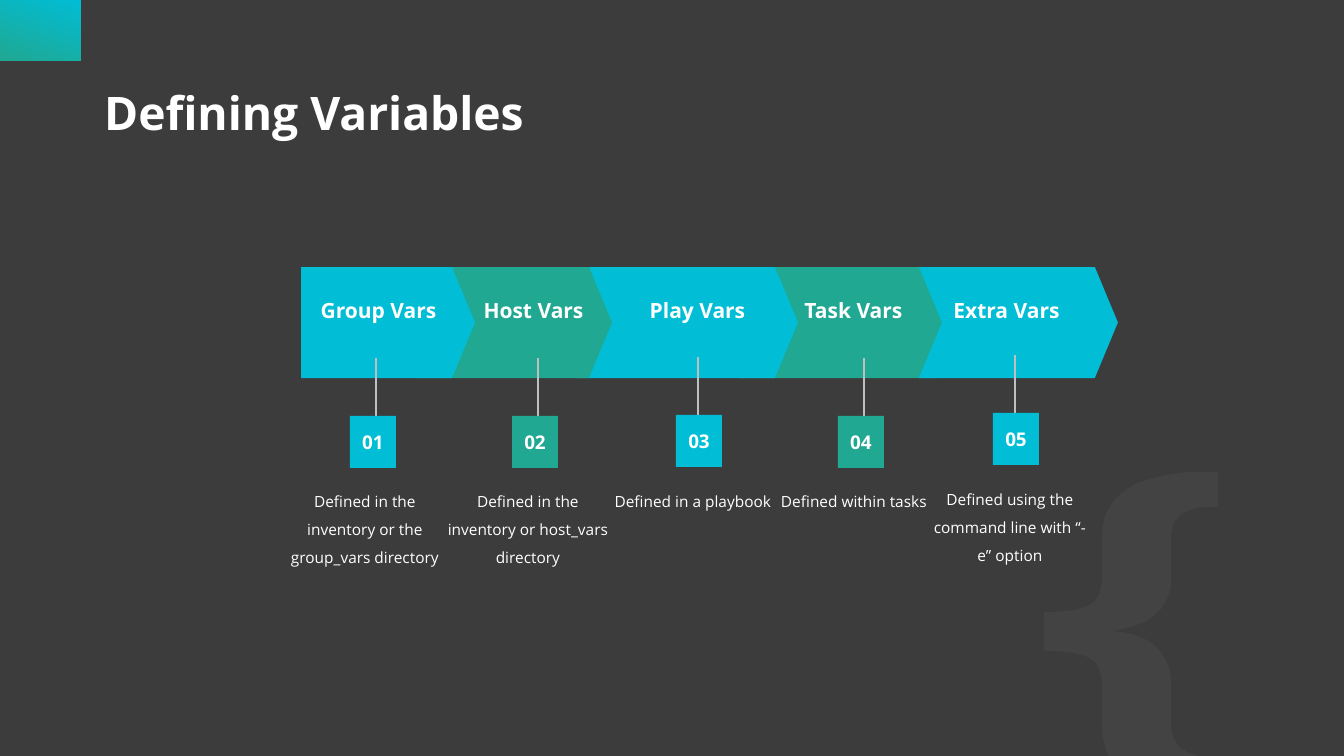
from lxml.etree import SubElement
from pptx import Presentation
from pptx.dml.color import RGBColor
from pptx.enum.shapes import MSO_CONNECTOR, MSO_SHAPE
from pptx.enum.text import MSO_ANCHOR, MSO_AUTO_SIZE, PP_ALIGN
from pptx.oxml.ns import qn
from pptx.util import Emu, Pt

SCALE = 914400 / 100.8  # EMU in one px
BLUE, GREEN, WHITE = "01BDD5", "20A892", "FFFFFF"


def px(*lengths):
    return [Emu(round(length * SCALE)) for length in lengths]


def write(shape, text, size, bold=False, align=PP_ALIGN.CENTER,
          anchor=MSO_ANCHOR.MIDDLE, spacing=None):
    frame = shape.text_frame
    frame.word_wrap = True
    frame.auto_size = MSO_AUTO_SIZE.NONE
    frame.vertical_anchor = anchor
    paragraph = frame.paragraphs[0]
    paragraph.alignment = align
    paragraph.line_spacing = spacing
    run = paragraph.add_run()
    run.text = text
    run.font.name = "Open Sans"
    run.font.size = Pt(size)
    run.font.bold = bold
    run.font.color.rgb = RGBColor.from_string(WHITE)


presentation = Presentation()
presentation.slide_width, presentation.slide_height = px(1344, 756)
slide = presentation.slides.add_slide(presentation.slide_layouts[5])
slide.background.fill.solid()
slide.background.fill.fore_color.rgb = RGBColor.from_string("3C3C3C")
shapes = slide.shapes

# Faint brace: two numbers are a line end, six are a cubic curve
brace_segments = [
    (1095, 612, 1102, 599, 1102, 577), (1102, 536),
    (1102, 491, 1145, 472, 1201, 472), (1218, 472), (1218, 507), (1211, 507),
    (1180, 507, 1171, 520, 1171, 539), (1171, 577),
    (1171, 605, 1154, 626, 1112, 631),
    (1156, 635, 1171, 656, 1171, 686), (1171, 723),
    (1171, 743, 1182, 757, 1212, 757), (1218, 757), (1218, 792), (1201, 792),
    (1151, 792, 1102, 776, 1102, 728), (1102, 686),
    (1102, 664, 1095, 651, 1044, 651),
]
brace_points = [(1044, 612)]
for segment in brace_segments:
    if len(segment) == 2:
        brace_points.append(segment)
        continue
    x0, y0 = brace_points[-1]
    x1, y1, x2, y2, x3, y3 = segment
    for step in range(1, 13):
        t = step / 12
        a, b, c, d = (1 - t) ** 3, 3 * t * (1 - t) ** 2, 3 * t * t * (1 - t), t ** 3
        brace_points.append((a * x0 + b * x1 + c * x2 + d * x3,
                             a * y0 + b * y1 + c * y2 + d * y3))
builder = shapes.build_freeform(*brace_points[0], scale=SCALE)
builder.add_line_segments(brace_points[1:], close=True)
brace = builder.convert_to_shape()
brace.shadow.inherit = False
brace.line.fill.background()
brace.fill.solid()
brace.fill.fore_color.rgb = RGBColor.from_string(WHITE)
brace_color = next(brace.element.spPr.iter(qn("a:srgbClr")))
SubElement(brace_color, qn("a:alpha"), val="4000")

# Corner block
corner = shapes.add_shape(MSO_SHAPE.RECTANGLE, *px(0, 0, 81, 61))
corner.shadow.inherit = False
corner.line.fill.background()
corner.fill.gradient()
corner.fill.gradient_angle = 250
for stop, color, position in zip(corner.fill.gradient_stops, (BLUE, GREEN), (0, 1)):
    stop.color.rgb = RGBColor.from_string(color)
    stop.position = position

# Title
title = shapes.title
title.left, title.top, title.width, title.height = px(94, 70, 824, 85)
write(title, "Defining Variables", 33, bold=True, align=PP_ALIGN.LEFT)

# Arrow band, from back to front
arrows = [(740, 220, GREEN), (578, 220, BLUE), (416, 196, GREEN),
          (301, 174, BLUE), (919, 199, BLUE)]
for left, width, color in arrows:
    kind = MSO_SHAPE.PENTAGON if left == 301 else MSO_SHAPE.CHEVRON
    arrow = shapes.add_shape(kind, *px(left, 267, width, 111))
    arrow.adjustments[0] = 0.208
    arrow.shadow.inherit = False
    arrow.line.fill.background()
    arrow.fill.solid()
    arrow.fill.fore_color.rgb = RGBColor.from_string(color)

# Steps: name, caption, lefts of name, badge and caption, line x, badge top
steps = [
    ("Group Vars", "Defined in the inventory or the group_vars directory",
     302, 350, 274, 376, 416),
    ("Host Vars", "Defined in the inventory or host_vars directory",
     457, 512, 437, 538, 416),
    ("Play Vars", "Defined in a playbook", 621, 676, 602, 698, 415),
    ("Task Vars", "Defined within tasks", 777, 838, 763, 864, 416),
    ("Extra Vars", "Defined using the command line with “-e” option",
     930, 993, 919, 1015, 413),
]
for number, step in enumerate(steps, 1):
    name, caption, name_left, badge_left, caption_left, line_x, badge_top = step

    line = shapes.add_connector(MSO_CONNECTOR.STRAIGHT,
                                *px(line_x, badge_top, line_x, badge_top - 58))
    line.line.color.rgb = RGBColor.from_string("BFBFBF")
    line.line.width = Pt(1)
    SubElement(line.element.spPr, qn("a:effectLst"))

    name_box = shapes.add_textbox(*px(name_left, 293, 153, 35))
    write(name_box, name, 15, bold=True)

    badge = shapes.add_shape(MSO_SHAPE.RECTANGLE, *px(badge_left, badge_top, 46, 52))
    badge.shadow.inherit = False
    badge.line.fill.background()
    badge.fill.solid()
    badge.fill.fore_color.rgb = RGBColor.from_string(BLUE if number % 2 else GREEN)
    badge.text_frame.margin_left = badge.text_frame.margin_right = 0
    write(badge, f"{number:02}", 13.5, bold=True)

    caption_top = 476 if name == "Extra Vars" else 478
    caption_box = shapes.add_textbox(*px(caption_left, caption_top, 182, 91))
    write(caption_box, caption, 11, anchor=MSO_ANCHOR.TOP, spacing=1.5)

presentation.save("out.pptx")
